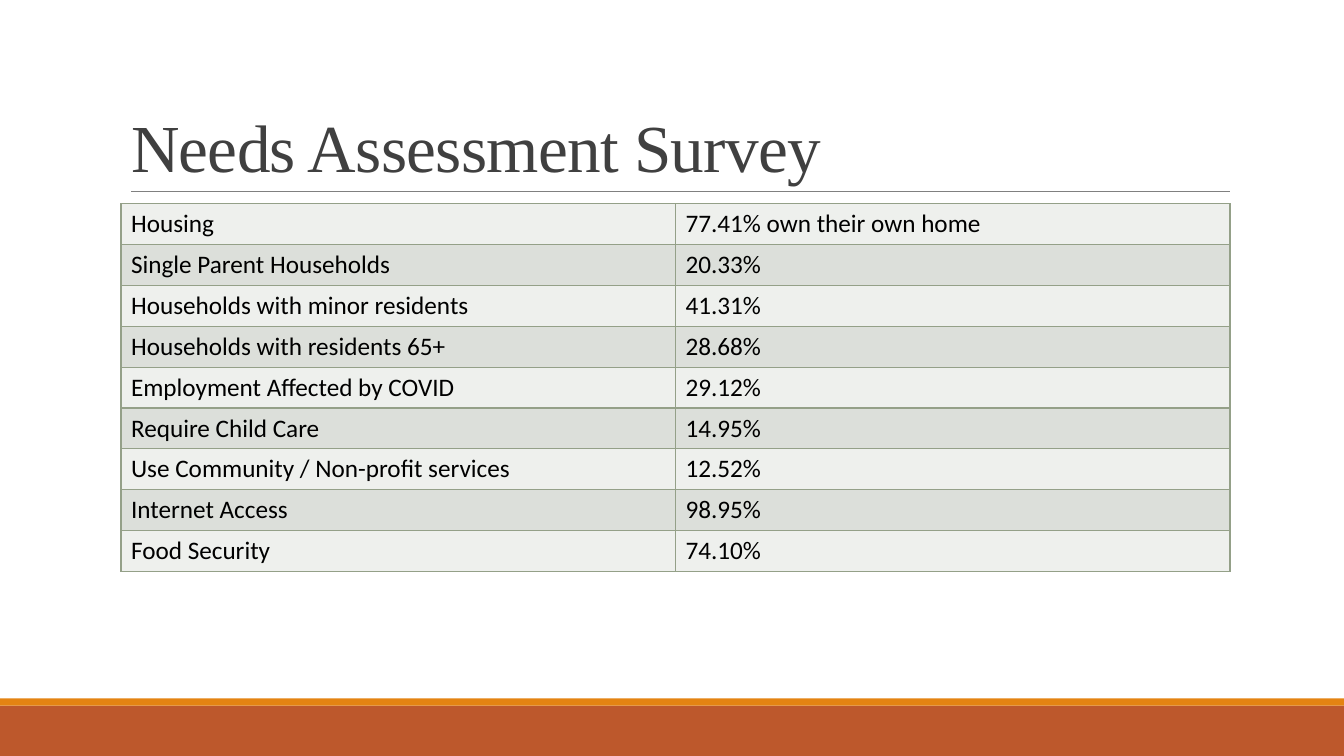
from lxml import etree
from pptx import Presentation
from pptx.dml.color import RGBColor
from pptx.enum.shapes import MSO_CONNECTOR, MSO_SHAPE
from pptx.enum.text import MSO_ANCHOR, PP_ALIGN
from pptx.oxml.ns import qn
from pptx.util import Inches, Pt

RECTANGLE = MSO_SHAPE.RECTANGLE
STRAIGHT = MSO_CONNECTOR.STRAIGHT
BOTTOM = MSO_ANCHOR.BOTTOM
LEFT = PP_ALIGN.LEFT
TITLE_ONLY = 5

WIDTH, HEIGHT = 13.33, 7.5
MARGIN, CONTENT_WIDTH = 1.2, 11
TITLE_BOX = (MARGIN, 0.31, CONTENT_WIDTH, 1.59)
TABLE_BOX = (MARGIN, 2.02, CONTENT_WIDTH, 3.65)
FOOTER_BOX = (0, 6.93, WIDTH, 0.57)
FOOTER_STRIPE = 0.07
TEXT_INSET = 0.1

COLORS = {
    "footer": "BD582C",
    "stripe": "E48312",
    "rule": "808080",
    "title": "404040",
    "text": "000000",
    "light_row": "EEF0ED",
    "dark_row": "DCDFDA",
    "border": "94A088",
}

SURVEY_RESULTS = [
    ("Housing", "77.41% own their own home"),
    ("Single Parent Households", "20.33%"),
    ("Households with minor residents", "41.31%"),
    ("Households with residents 65+", "28.68%"),
    ("Employment Affected by COVID", "29.12%"),
    ("Require Child Care", "14.95%"),
    ("Use Community / Non-profit services", "12.52%"),
    ("Internet Access", "98.95%"),
    ("Food Security", "74.10%"),
]


def color(name):
    return RGBColor.from_string(COLORS[name])


def format_run(run, font_name, size, color_name):
    run.font.name = font_name
    run.font.size = Pt(size)
    run.font.color.rgb = color(color_name)


def add_band(slide, box, color_name):
    band = slide.shapes.add_shape(RECTANGLE, *map(Inches, box))
    band.shadow.inherit = False
    band.fill.solid()
    band.fill.fore_color.rgb = color(color_name)
    band.line.fill.background()


def add_footer(slide, box):
    left, top, width, height = box
    add_band(slide, (left, top + FOOTER_STRIPE, width, height - FOOTER_STRIPE), "footer")
    add_band(slide, (left, top, width, FOOTER_STRIPE), "stripe")


def add_title(slide, box, text):
    """Place the title and the rule along the bottom of its box."""
    left, top, width, height = box
    bottom = top + height
    rule = slide.shapes.add_connector(
        STRAIGHT, Inches(left + TEXT_INSET), Inches(bottom),
        Inches(left + width), Inches(bottom))
    rule.line.color.rgb = color("rule")
    rule.line.width = Pt(0.5)
    etree.SubElement(rule._element.spPr, qn("a:effectLst"))

    title = slide.shapes.title
    title.left, title.top, title.width, title.height = map(Inches, box)
    frame = title.text_frame
    frame.text = text
    frame.word_wrap = True
    frame.vertical_anchor = BOTTOM
    paragraph = frame.paragraphs[0]
    paragraph.alignment = LEFT
    paragraph.line_spacing = 0.85
    run = paragraph.runs[0]
    format_run(run, "Times New Roman", 48, "title")
    run.font._element.set("spc", "-50")


def add_cell_borders(cell):
    properties = cell._tc.get_or_add_tcPr()
    for position, side in enumerate(("a:lnL", "a:lnR", "a:lnT", "a:lnB")):
        border = etree.Element(qn(side), w=str(Pt(1)))
        fill = etree.SubElement(border, qn("a:solidFill"))
        etree.SubElement(fill, qn("a:srgbClr"), val=COLORS["border"])
        properties.insert(position, border)


def add_survey_table(slide, box, results):
    frame = slide.shapes.add_table(len(results), len(results[0]), *map(Inches, box))
    table = frame.table
    table.first_row = False
    for row_index, result in enumerate(results):
        table.rows[row_index].height = Inches(box[3] / len(results))
        row_color = "dark_row" if row_index % 2 else "light_row"
        for column_index, text in enumerate(result):
            cell = table.cell(row_index, column_index)
            cell.text_frame.text = text
            format_run(cell.text_frame.paragraphs[0].runs[0], "Calibri", 18, "text")
            cell.fill.solid()
            cell.fill.fore_color.rgb = color(row_color)
            add_cell_borders(cell)


def main():
    presentation = Presentation()
    presentation.slide_width = Inches(WIDTH)
    presentation.slide_height = Inches(HEIGHT)
    slide = presentation.slides.add_slide(presentation.slide_layouts[TITLE_ONLY])
    add_footer(slide, FOOTER_BOX)
    add_title(slide, TITLE_BOX, "Needs Assessment Survey")
    add_survey_table(slide, TABLE_BOX, SURVEY_RESULTS)
    presentation.save("out.pptx")


if __name__ == "__main__":
    main()
